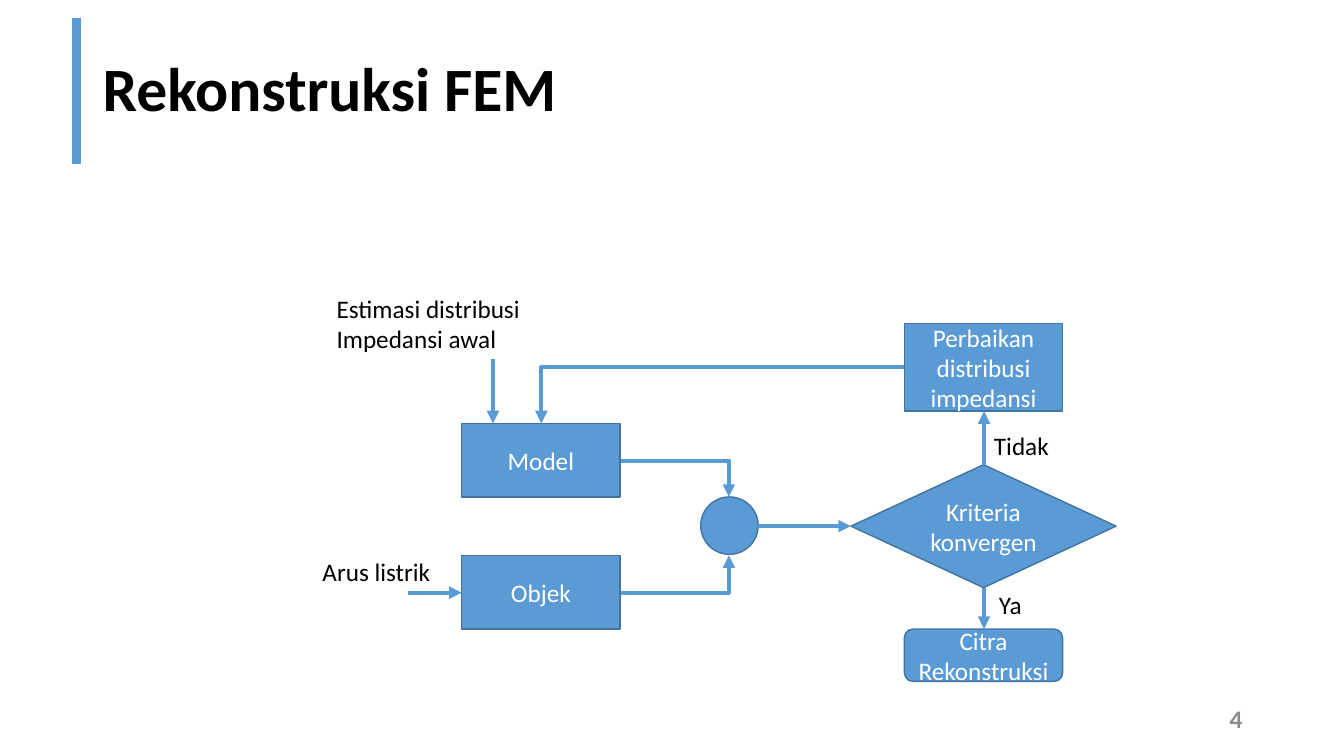
from lxml.etree import SubElement
from pptx import Presentation
from pptx.dml.color import RGBColor
from pptx.enum.shapes import MSO_CONNECTOR as Connector, MSO_SHAPE as Shape
from pptx.enum.text import MSO_ANCHOR as Anchor, MSO_AUTO_SIZE as AutoSize, PP_ALIGN as Align
from pptx.oxml.ns import qn
from pptx.util import Inches, Pt

BLUE = RGBColor(0x5B, 0x9B, 0xD5)
DARK_BLUE = RGBColor(0x43, 0x73, 0x9E)
GRAY = RGBColor(0x8C, 0x8C, 0x8C)
BLACK = RGBColor(0, 0, 0)
WHITE = RGBColor(0xFF, 0xFF, 0xFF)


class FlowSlide:
    font_name = "Calibri"
    font_size = 18

    def __init__(self, presentation):
        self.slide = presentation.slides.add_slide(presentation.slide_layouts[6])

    def format_text(self, text_frame, color, align, size=font_size, bold=False):
        for paragraph in text_frame.paragraphs:
            paragraph.alignment = align
            for run in paragraph.runs:
                run.font.name = self.font_name
                run.font.size = Pt(size)
                run.font.bold = bold
                run.font.color.rgb = color

    def text(self, text, left, top, width, height, color=BLACK, align=Align.LEFT,
             size=font_size, bold=False):
        box = self.slide.shapes.add_textbox(*map(Inches, (left, top, width, height)))
        box.text_frame.text = text
        self.format_text(box.text_frame, color, align, size, bold)
        return box.text_frame

    def heading(self, *args, **style):
        text_frame = self.text(*args, bold=True, **style)
        text_frame.word_wrap = True
        text_frame.vertical_anchor = Anchor.MIDDLE
        text_frame.paragraphs[0].line_spacing = 0.9

    def label(self, *args):
        text_frame = self.text(*args)
        text_frame.word_wrap = False
        text_frame.auto_size = AutoSize.SHAPE_TO_FIT_TEXT

    def node(self, kind, left, top, width, height, text=""):
        shape = self.slide.shapes.add_shape(kind, *map(Inches, (left, top, width, height)))
        shape.shadow.inherit = False
        shape.fill.solid()
        shape.fill.fore_color.rgb = BLUE
        shape.line.color.rgb = DARK_BLUE
        shape.line.width = Pt(1)
        shape.text_frame.text = text
        shape.text_frame.word_wrap = True
        shape.text_frame.vertical_anchor = Anchor.MIDDLE
        self.format_text(shape.text_frame, WHITE, Align.CENTER)

    def line(self, start, end, width, kind=Connector.STRAIGHT):
        connector = self.slide.shapes.add_connector(kind, *map(Inches, (*start, *end)))
        connector.line.color.rgb = BLUE
        connector.line.width = Pt(width)
        SubElement(connector._element.spPr, qn("a:effectLst"))
        return connector

    def arrow(self, start, end):
        """Straight when the ends are aligned, otherwise one bend: across, then up or down."""
        straight = start[0] == end[0] or start[1] == end[1]
        kind = Connector.STRAIGHT if straight else Connector.ELBOW
        connector = self.line(start, end, 3, kind)
        if not straight:
            geometry = connector._element.spPr.find(qn("a:prstGeom"))
            geometry.set("prst", "bentConnector2")
        SubElement(connector.line._get_or_add_ln(), qn("a:tailEnd"), type="triangle")


def main():
    presentation = Presentation()
    presentation.slide_width = Inches(13.33)
    presentation.slide_height = Inches(7.5)
    flow = FlowSlide(presentation)

    # Title, accent bar and page number
    flow.line((0.76, 0.18), (0.76, 1.63), 6)
    flow.heading("Rekonstruksi FEM", 0.92, 0.18, 10.3, 1.45, size=44)
    flow.heading("4", 11.84, 6.95, 0.58, 0.4, color=GRAY, align=Align.RIGHT)

    # Flowchart nodes
    box_width = 1.57
    model_left, result_left = 4.58, 8.97
    for text, top in (("Model", 4.2), ("Objek", 5.51)):
        flow.node(Shape.RECTANGLE, model_left, top, box_width, 0.73, text)
    flow.node(Shape.OVAL, 6.95, 4.93, 0.57, 0.57)
    flow.node(Shape.DIAMOND, 8.44, 4.61, 2.63, 1.22, "Kriteria konvergen")
    flow.node(Shape.RECTANGLE, result_left, 3.21, box_width, 0.87,
              "Perbaikan distribusi impedansi")
    flow.node(Shape.ROUNDED_RECTANGLE, result_left, 6.24, box_width, 0.52,
              "Citra Rekonstruksi")

    # Arrows
    model_right, circle_x, decision_x = 6.16, 7.23, 9.76
    for start, end in (
        ((4.89, 3.56), (4.89, 4.2)),
        ((4.05, 5.88), (model_left, 5.88)),
        ((result_left, 3.64), (5.37, 4.2)),
        ((model_right, 4.57), (circle_x, 4.93)),
        ((model_right, 5.88), (circle_x, 5.51)),
        ((7.52, 5.22), (8.44, 5.22)),
        ((decision_x, 4.61), (decision_x, 4.08)),
        ((decision_x, 5.83), (decision_x, 6.24)),
    ):
        flow.arrow(start, end)

    # Labels
    flow.label("Estimasi distribusi\nImpedansi awal", 3.24, 2.86, 2.04, 0.71)
    flow.label("Arus listrik", 3.1, 5.47, 1.28, 0.4)
    flow.label("Tidak", 9.76, 4.22, 0.75, 0.4)
    flow.label("Ya", 9.81, 5.8, 0.43, 0.4)

    presentation.save("out.pptx")


if __name__ == "__main__":
    main()
